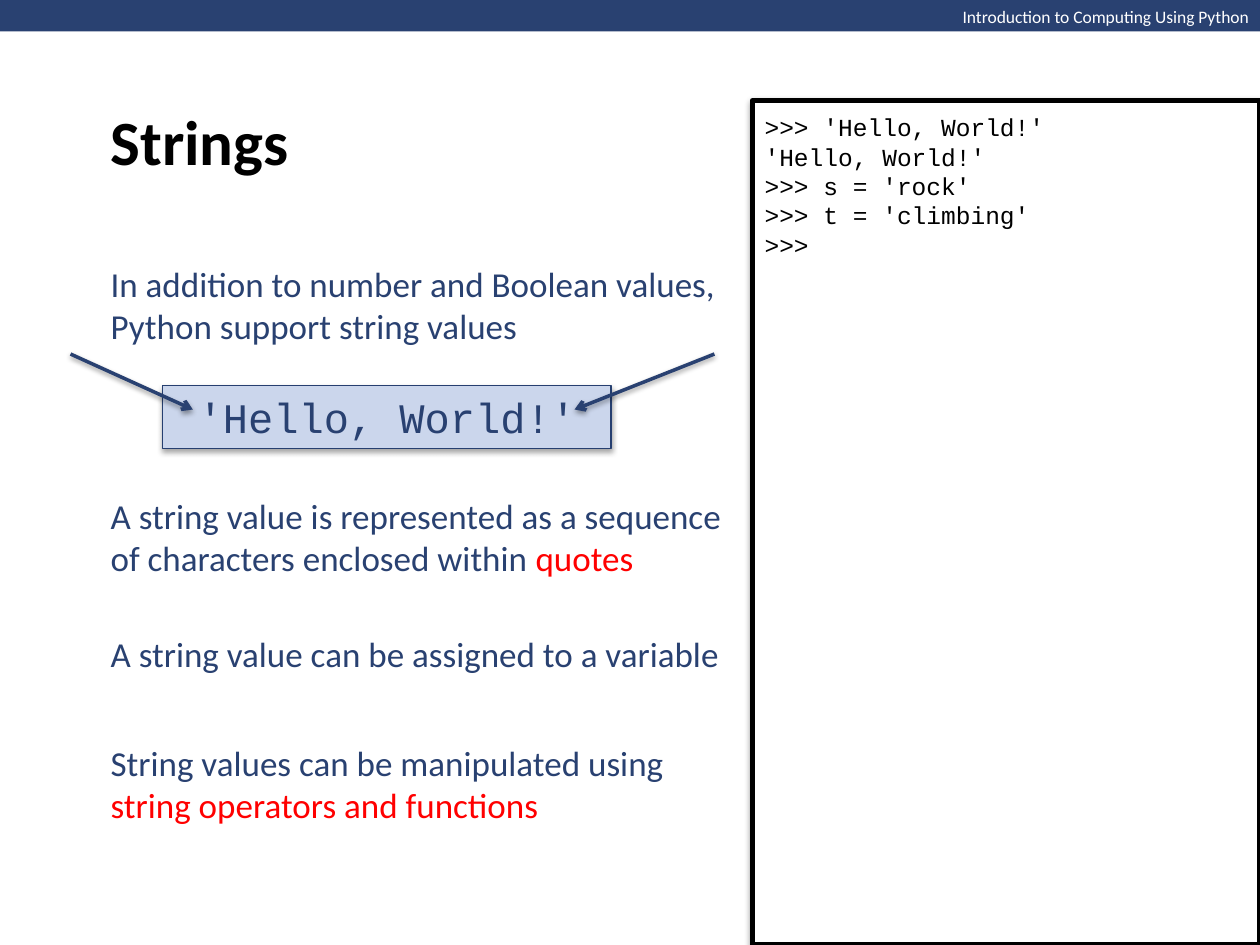
from dataclasses import dataclass

from lxml.etree import SubElement
from pptx import Presentation
from pptx.dml.color import RGBColor
from pptx.enum.shapes import MSO_CONNECTOR as Connector, MSO_SHAPE as Shape
from pptx.enum.text import MSO_ANCHOR as Anchor, PP_ALIGN as Align
from pptx.oxml.ns import qn
from pptx.util import Inches, Pt


@dataclass(frozen=True)
class Theme:
    navy: str = "294171"
    edge: str = "263F70"
    pale: str = "CBD6EC"
    red: str = "FF0000"
    black: str = "000000"
    white: str = "FFFFFF"
    sans: str = "Calibri"
    mono: str = "Courier New"
    header_size: int = 10
    code_size: int = 14
    body_size: int = 20
    example_size: int = 24
    title_size: int = 36


THEME = Theme()


def style_run(run, size, color, font=THEME.sans, bold=False):
    run.font.name = font
    run.font.size = Pt(size)
    run.font.bold = bold
    run.font.color.rgb = RGBColor.from_string(color)


def add_shadow(shape, opacity, distance):
    """Drop a soft black shadow straight down; call after the line is set."""
    properties = shape._element.spPr
    effects = properties.find(qn("a:effectLst"))
    if effects is None:
        effects = SubElement(properties, qn("a:effectLst"))
    shadow = SubElement(effects, qn("a:outerShdw"), blurRad=str(Pt(3.1)),
                        dist=str(Pt(distance)), dir="5400000", rotWithShape="0")
    color = SubElement(shadow, qn("a:srgbClr"), val=THEME.black)
    SubElement(color, qn("a:alpha"), val=str(opacity * 1000))


def add_box(slide, box, fill, line=None, line_width=0):
    shape = slide.shapes.add_shape(Shape.RECTANGLE, *map(Inches, box))
    shape.shadow.inherit = False
    shape.fill.solid()
    shape.fill.fore_color.rgb = RGBColor.from_string(fill)
    if line:
        shape.line.color.rgb = RGBColor.from_string(line)
        shape.line.width = Pt(line_width)
    else:
        shape.line.fill.background()
    return shape


def add_text(slide, box, anchor=Anchor.MIDDLE):
    frame = slide.shapes.add_textbox(*map(Inches, box)).text_frame
    frame.word_wrap = True
    frame.vertical_anchor = anchor
    return frame


def add_header(slide, box):
    left, top, width, height = box
    add_box(slide, box, THEME.navy)
    label_width = 2.5
    frame = add_text(slide, (left + width - label_width, top, label_width, 0.27), Anchor.TOP)
    frame.word_wrap = False
    frame.text = "Introduction to Computing Using Python"
    frame.paragraphs[0].alignment = Align.RIGHT
    style_run(frame.paragraphs[0].runs[0], THEME.header_size, THEME.white)


def add_title(slide, box):
    frame = add_text(slide, box, Anchor.BOTTOM)
    frame.margin_bottom = Inches(0.2)
    frame.text = "Strings"
    style_run(frame.paragraphs[0].runs[0], THEME.title_size, THEME.black, bold=True)


def add_statement(slide, box, text, highlight=""):
    paragraph = add_text(slide, box).paragraphs[0]
    for words, color in ((text, THEME.navy), (highlight, THEME.red)):
        if words:
            run = paragraph.add_run()
            run.text = words
            style_run(run, THEME.body_size, color)


def add_example(slide, box):
    left, top, width, _ = box
    shape = add_box(slide, box, THEME.pale, THEME.edge, 0.75)
    add_shadow(shape, 35, 1.8)
    frame = shape.text_frame
    frame.vertical_anchor = Anchor.MIDDLE
    frame.text = "'Hello, World!'"
    frame.paragraphs[0].alignment = Align.CENTER
    style_run(frame.paragraphs[0].runs[0], THEME.example_size, THEME.navy, THEME.mono)

    # Arrows pointing at the two quotes
    right = left + width
    for start_x, end_x in ((right + 0.82, right - 0.29), (left - 0.73, left + 0.24)):
        arrow = slide.shapes.add_connector(
            Connector.STRAIGHT,
            *map(Inches, (start_x, top - 0.25, end_x, top + 0.19)))
        arrow.line.color.rgb = RGBColor.from_string(THEME.navy)
        arrow.line.width = Pt(2)
        SubElement(arrow.line._get_or_add_ln(), qn("a:tailEnd"), type="arrow")
        add_shadow(arrow, 38, 1.6)


def add_console(slide, box):
    shape = add_box(slide, box, THEME.white, THEME.black, 3)
    add_shadow(shape, 38, 1.6)
    frame = shape.text_frame
    frame.word_wrap = True
    frame.vertical_anchor = Anchor.TOP
    frame.margin_top = Inches(0.09)
    frame.text = "\n".join((
        ">>> 'Hello, World!'",
        "'Hello, World!'",
        ">>> s = 'rock'",
        ">>> t = 'climbing'",
        ">>>",
    ))
    for paragraph in frame.paragraphs:
        paragraph.alignment = Align.LEFT
        style_run(paragraph.runs[0], THEME.code_size, THEME.black, THEME.mono)


def add_strings_slide(presentation):
    slide = presentation.slides.add_slide(presentation.slide_layouts[6])
    left, width = 0.78, 5.2
    add_header(slide, (0, 0, 10.01, 0.25))
    add_title(slide, (left, 0, 8.5, 1.61))

    # Statements down the left column
    add_statement(slide, (left, 2.03, 5.77, 0.77),
                  "In addition to number and Boolean values, Python support string values")
    add_statement(slide, (left, 3.87, width, 0.77),
                  "A string value is represented as a sequence of characters enclosed within ",
                  "quotes")
    add_example(slide, (1.29, 3.06, 3.56, 0.5))
    add_statement(slide, (left, 4.97, width, 0.44),
                  "A string value can be assigned to a variable")
    add_statement(slide, (left, 5.83, width, 0.77),
                  "String values can be manipulated using ",
                  "string operators and functions")

    # Interpreter session on the right
    add_console(slide, (5.97, 0.8, 4.03, 6.7))


def main():
    presentation = Presentation()
    presentation.slide_width = Inches(10)
    presentation.slide_height = Inches(7.5)
    add_strings_slide(presentation)
    presentation.save("out.pptx")


if __name__ == "__main__":
    main()
